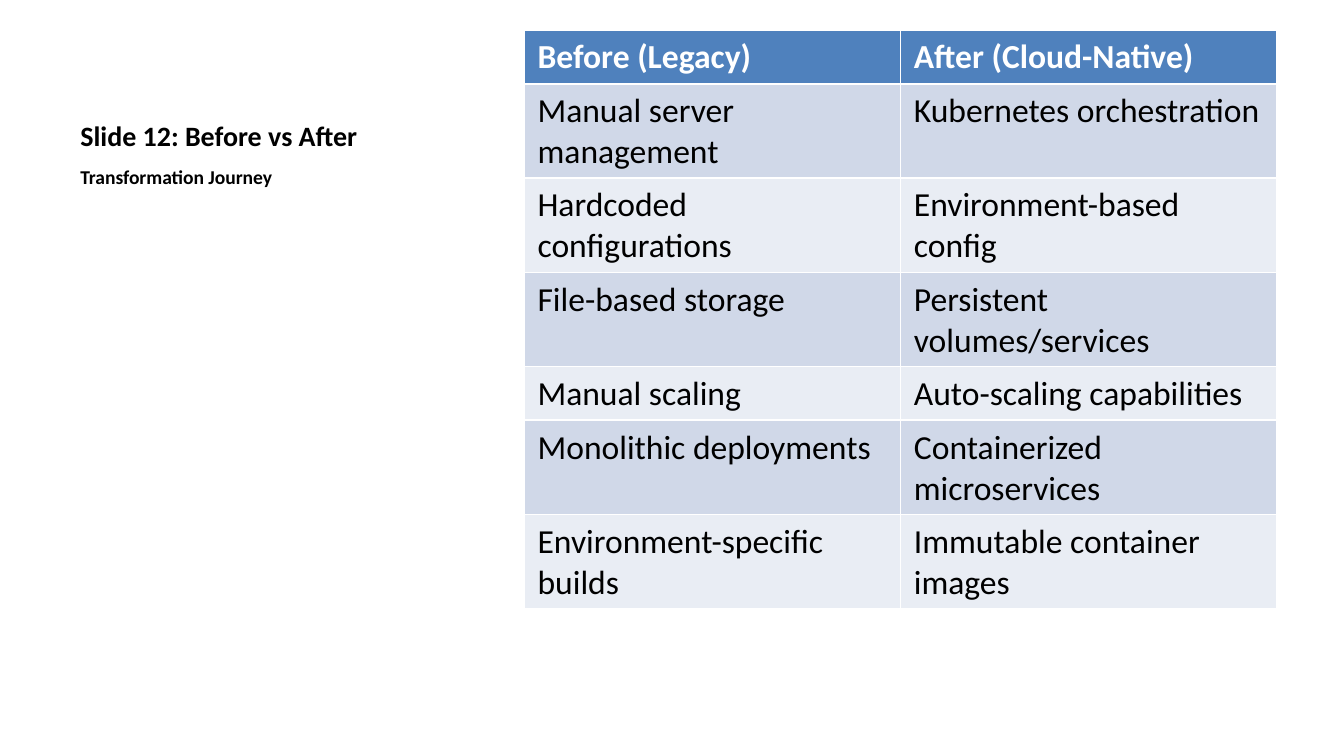
import pptx
import pptx.dml.color
import pptx.enum.text
import pptx.util

THEME = {
    "font": "Calibri",
    "ink": "000000",
    "paper": "FFFFFF",
    "header": "4F81BD",
    "bands": ("D0D8E8", "E9EDF4"),
    "title_size": 15,
    "subtitle_size": 10.5,
    "table_size": 18,
}

COMPARISON = [
    ("Before (Legacy)", "After (Cloud-Native)"),
    ("Manual server management", "Kubernetes orchestration"),
    ("Hardcoded configurations", "Environment-based config"),
    ("File-based storage", "Persistent volumes/services"),
    ("Manual scaling", "Auto-scaling capabilities"),
    ("Monolithic deployments", "Containerized microservices"),
    ("Environment-specific builds", "Immutable container images"),
]


def write(frame, text, size, color=THEME["ink"], bold=False, space_before=0,
          anchor=pptx.enum.text.MSO_ANCHOR.TOP):
    frame.word_wrap = True
    frame.vertical_anchor = anchor
    paragraph = frame.paragraphs[0]
    paragraph.space_before = pptx.util.Pt(space_before)
    run = paragraph.add_run()
    run.text = text
    run.font.name = THEME["font"]
    run.font.size = pptx.util.Pt(size)
    run.font.bold = bold
    run.font.color.rgb = pptx.dml.color.RGBColor.from_string(color)


presentation = pptx.Presentation()
presentation.slide_width = pptx.util.Inches(10)
presentation.slide_height = presentation.slide_width * 9 // 16
W, H = presentation.slide_width, presentation.slide_height
slide = presentation.slides.add_slide(presentation.slide_layouts[6])

# Left column: heading above, subtitle below a shared edge
left, top, split, bottom = int(0.05 * W), int(0.04 * H), int(0.21 * H), int(0.89 * H)
heading_width = int(0.33 * W)

title = slide.shapes.add_textbox(left, top, heading_width, split - top)
write(title.text_frame, "Slide 12: Before vs After", THEME["title_size"], bold=True,
      anchor=pptx.enum.text.MSO_ANCHOR.BOTTOM)

subtitle = slide.shapes.add_textbox(left, split, heading_width, bottom - split)
write(subtitle.text_frame, "Transformation Journey", THEME["subtitle_size"], bold=True,
      space_before=2)

# Right column: comparison table; the default style supplies its white rules
table_height = bottom - top
comparison_frame = slide.shapes.add_table(
    len(COMPARISON), 2, int(0.39 * W), top, int(0.56 * W), table_height)
comparison = comparison_frame.table

for r, entries in enumerate(COMPARISON):
    comparison.rows[r].height = 0  # each row grows to fit its text
    is_header = r == 0
    background = THEME["header"] if is_header else THEME["bands"][(r - 1) % 2]
    for c, entry in enumerate(entries):
        cell = comparison.cell(r, c)
        cell.fill.solid()
        cell.fill.fore_color.rgb = pptx.dml.color.RGBColor.from_string(background)
        write(cell.text_frame, entry, THEME["table_size"], bold=is_header,
              color=THEME["paper"] if is_header else THEME["ink"])
comparison_frame.height = table_height

presentation.save("out.pptx")
